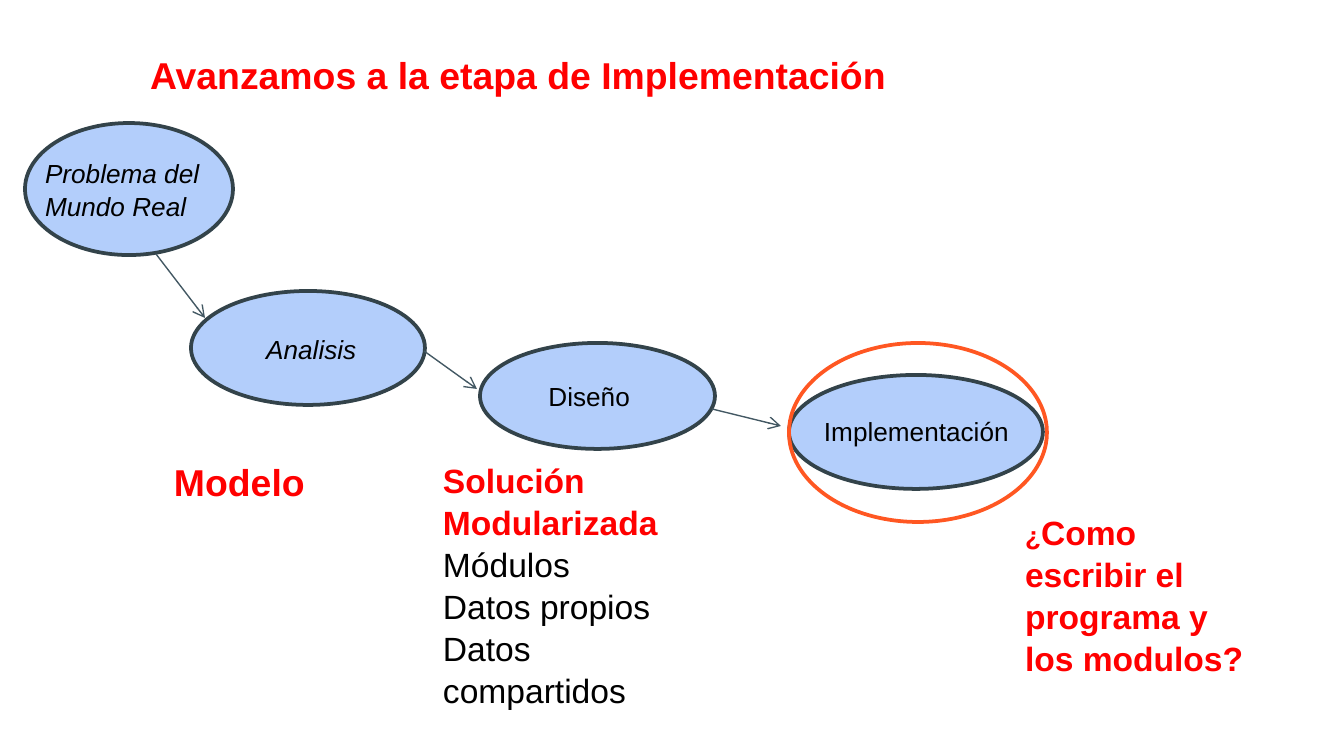
"""Build the slide on moving from the problem to the implementation stage."""
from lxml.etree import SubElement
from pptx import Presentation
from pptx.dml.color import RGBColor
from pptx.enum.shapes import MSO_CONNECTOR, MSO_SHAPE
from pptx.enum.text import MSO_ANCHOR, MSO_AUTO_SIZE, PP_ALIGN
from pptx.oxml.ns import qn
from pptx.util import Pt

EMU_PER_PX = 914400 / 134.4
COLORS = {
    "stage": "B3CEFB",
    "outline": "33434A",
    "arrow": "435863",
    "highlight": "FF5722",
    "red": "FF0000",
    "black": "000000",
}


def px(length):
    return round(length * EMU_PER_PX)


def color(name):
    return RGBColor.from_string(COLORS[name])


class SlideBuilder:
    """Hold the text style and the current slide."""

    font = "Arial"
    line_spacing = 1.04

    def __init__(self, slide):
        self.slide = slide

    def fill_text(self, shape, paragraphs, inset=13, anchor=MSO_ANCHOR.TOP, align=PP_ALIGN.LEFT):
        frame = shape.text_frame
        frame.word_wrap = True
        frame.auto_size = MSO_AUTO_SIZE.NONE
        frame.vertical_anchor = anchor
        frame.margin_left = px(inset)
        for index, spans in enumerate(paragraphs):
            para = frame.add_paragraph() if index else frame.paragraphs[0]
            para.alignment = align
            para.line_spacing = self.line_spacing
            for text, size, ink, bold, italic in spans:
                span = para.add_run()
                span.text = text
                span.font.name = self.font
                span.font.size = Pt(size)
                span.font.bold = bold
                span.font.italic = italic
                span.font.color.rgb = color(ink)

    def title(self, box, spans):
        title = self.slide.shapes.title
        title.left, title.top, title.width, title.height = map(px, box)
        self.fill_text(title, [spans])

    def text(self, box, paragraphs, **layout):
        self.fill_text(self.slide.shapes.add_textbox(*map(px, box)), paragraphs, **layout)

    def ellipse(self, box, fill="stage", line="outline"):
        shape = self.slide.shapes.add_shape(MSO_SHAPE.OVAL, *map(px, box))
        shape.shadow.inherit = False
        if fill:
            shape.fill.solid()
            shape.fill.fore_color.rgb = color(fill)
        else:
            shape.fill.background()
        shape.line.color.rgb = color(line)
        shape.line.width = Pt(2)
        return shape

    def arrow(self, start, end):
        points = map(px, (*start, *end))
        arrow = self.slide.shapes.add_connector(MSO_CONNECTOR.STRAIGHT, *points)
        arrow.line.color.rgb = color("arrow")
        arrow.line.width = Pt(0.75)
        properties = arrow._element.spPr
        SubElement(properties.find(qn("a:ln")), qn("a:tailEnd"), type="arrow")
        SubElement(properties, qn("a:effectLst"))


def label(text, italic=False):
    return text, 14, "black", False, italic


def heading(text, size=18):
    return text, size, "red", True, False


def detail(text):
    return text, 18, "black", False, False


def main():
    deck = Presentation()
    deck.slide_width, deck.slide_height = px(1344), px(756)
    page = SlideBuilder(deck.slides.add_slide(deck.slide_layouts[5]))

    page.title((137, 44, 871, 90), [heading("Avanzamos a la etapa de Implementación", 20)])

    analysis = page.ellipse((191, 291, 234, 114))
    page.fill_text(analysis, [[label("Analisis", italic=True)]], inset=20,
                   anchor=MSO_ANCHOR.MIDDLE, align=PP_ALIGN.CENTER)
    design = page.ellipse((480, 343, 235, 106))
    page.fill_text(design, [[label("Diseño")]], inset=34, anchor=MSO_ANCHOR.MIDDLE)
    page.ellipse((789, 375, 254, 114))
    page.text((782, 408, 280, 46), [[label("Implementación")]], inset=42)
    page.ellipse((25, 123, 208, 132))
    page.text((32, 150, 184, 77), [[label("Problema del Mundo Real", italic=True)]])

    for start, end in (
        ((156, 254), (205, 318)),
        ((424, 351), (477, 389)),
        ((712, 409), (781, 426)),
    ):
        page.arrow(start, end)

    page.text((161, 406, 223, 149), [[heading("Modelo", 20)]], anchor=MSO_ANCHOR.MIDDLE)
    solution = [[heading(text)] for text in ("Solución", "Modularizada")]
    contents = [[detail(text)] for text in ("Módulos", "Datos propios", "Datos compartidos")]
    page.text((430, 452, 290, 298), solution + contents)
    page.ellipse((789, 343, 258, 179), fill=None, line="highlight")
    page.text((1012, 504, 250, 176),
              [[heading("¿", 14), heading("Como escribir el programa y los modulos?")]])

    deck.save("out.pptx")


if __name__ == "__main__":
    main()
